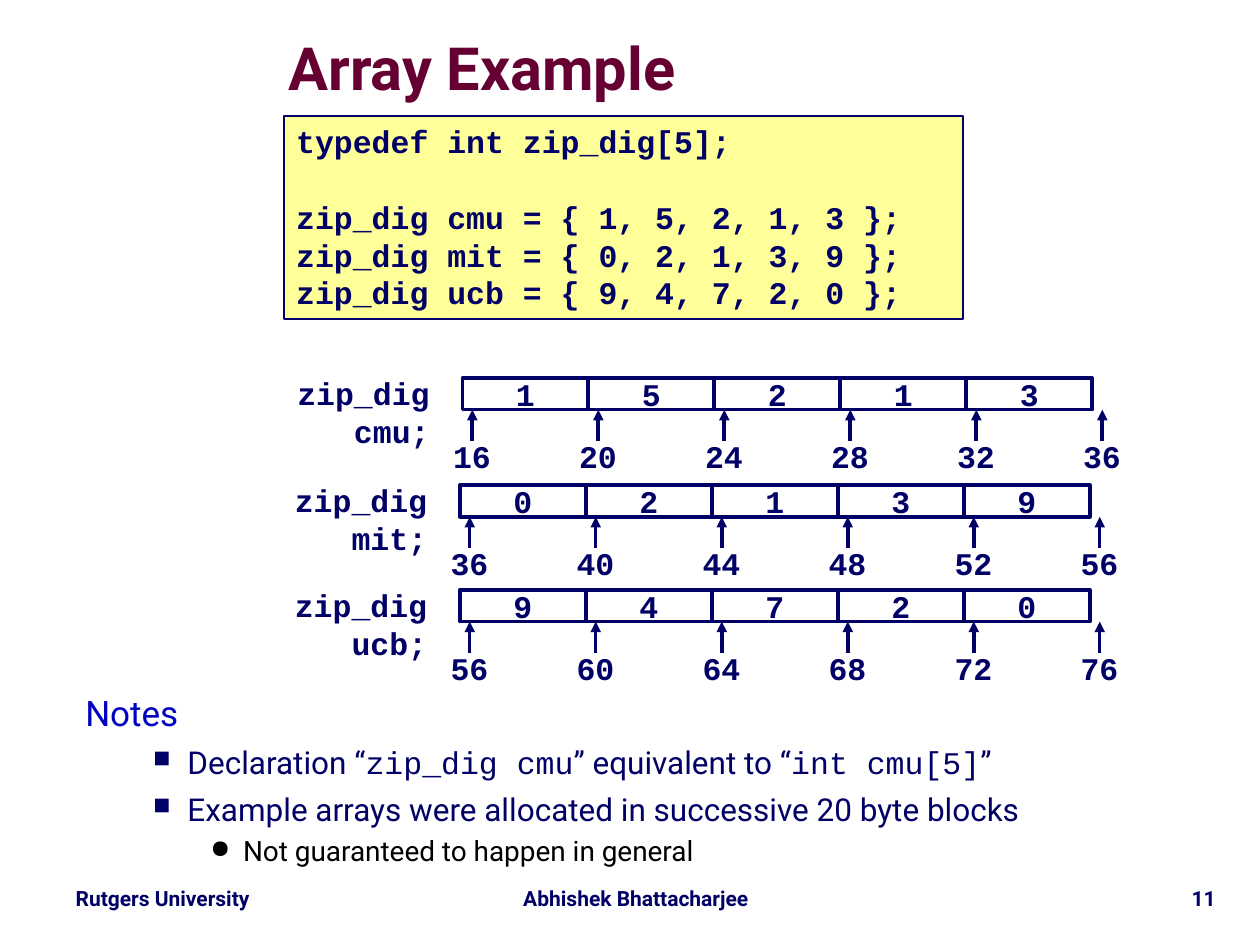
from lxml.etree import SubElement
from pptx import Presentation
from pptx.dml.color import RGBColor
from pptx.enum.shapes import MSO_CONNECTOR, MSO_SHAPE
from pptx.enum.text import MSO_ANCHOR as Anchor, PP_ALIGN as Align
from pptx.oxml.ns import qn
from pptx.util import Cm, Pt

SANS, MONO = "Roboto", "Courier New"
NAVY, MAROON, BLUE, BLACK = "000066", "660033", "0000C0", "000000"
YELLOW, WHITE = "FFFF99", "FFFFFF"


def rgb(value):
    return RGBColor.from_string(value)


class Deck:
    """Holds the slide and its shared style."""

    def __init__(self, s):
        self.s = s
        self.ink = NAVY
        self.code_size = 18

    def run(self, p, text, size, font=SANS, color=None, bold=False):
        r = p.add_run()
        r.text = text
        r.font.name = font
        r.font.size = Pt(size)
        r.font.bold = bold
        r.font.color.rgb = rgb(color or self.ink)

    def frame(self, x, y, w, h, wrap=True):
        tf = self.s.shapes.add_textbox(Cm(x), Cm(y), Cm(w), Cm(h)).text_frame
        tf.word_wrap = wrap
        return tf

    def sans(self, x, y, w, h, text, size, align, spacing, color=None):
        tf = self.frame(x, y, w, h)
        p = tf.paragraphs[0]
        p.alignment = align
        p.line_spacing = spacing
        self.run(p, text, size, color=color, bold=True)
        return tf

    def code(self, p, text, align=Align.LEFT):
        p.alignment = align
        self.run(p, text, self.code_size, MONO, bold=True)

    def label(self, x, y, w, h, text, align=Align.CENTER, wrap=False):
        self.code(self.frame(x, y, w, h, wrap).paragraphs[0], text, align)

    def box(self, x, y, w, h, fill, line):
        sp = self.s.shapes.add_shape(MSO_SHAPE.RECTANGLE, Cm(x), Cm(y), Cm(w), Cm(h))
        sp.shadow.inherit = False
        sp.fill.solid()
        sp.fill.fore_color.rgb = rgb(fill)
        sp.line.color.rgb = rgb(self.ink)
        sp.line.width = Pt(line)
        return sp.text_frame

    def cell(self, x, y, w, h, text):
        tf = self.box(x, y, w, h, WHITE, 2)
        tf.word_wrap = False
        tf.vertical_anchor = Anchor.MIDDLE
        self.code(tf.paragraphs[0], text, Align.CENTER)

    def arrow_up(self, x, bottom, top):
        c = self.s.shapes.add_connector(
            MSO_CONNECTOR.STRAIGHT, Cm(x), Cm(bottom), Cm(x), Cm(top))
        c.line.color.rgb = rgb(self.ink)
        c.line.width = Pt(2)
        SubElement(c.line._get_or_add_ln(), qn("a:tailEnd"), type="triangle")
        SubElement(c._element.spPr, qn("a:effectLst"))

    def bullet(self, p, char, scale, left, hang):
        pPr = p._p.get_or_add_pPr()
        pPr.set("marL", str(Cm(left)))
        pPr.set("indent", str(-Cm(hang)))
        SubElement(pPr, qn("a:buSzPct"), val=str(scale * 1000))
        SubElement(pPr, qn("a:buChar"), char=char)

    def array(self, x, y, name, digits, start):
        step, height = 2.54, 0.64
        self.label(x - 5.21, y - 0.2, 4.8, 1.02, f"zip_dig {name};", Align.RIGHT, wrap=True)
        for i, digit in enumerate(digits):
            self.cell(x + i * step, y, step, height, str(digit))
        # One address per element, and one for the end
        for i in range(len(digits) + 1):
            ax = x + 0.2 + i * step
            self.arrow_up(ax, y + 1.27, y + height)
            self.label(ax - 0.64, y + 1.07, 1.27, 1.02, str(start + 4 * i))


def main():
    prs = Presentation()
    prs.slide_width, prs.slide_height = Cm(25.4), Cm(19.05)
    deck = Deck(prs.slides.add_slide(prs.slide_layouts[6]))

    # Footer
    for x, w, text, align in (
        (0.84, 4.88, "Rutgers University", Align.CENTER),
        (9.96, 5.72, "Abhishek Bhattacharjee", Align.CENTER),
        (20.75, 4.01, "11", Align.RIGHT),
    ):
        deck.sans(x, 17.78, w, 0.71, text, 12, align, 0.9)

    # Title
    tf = deck.sans(2.11, 0.64, 15.21, 1.6, "Array Example", 34, Align.CENTER, 0.87, MAROON)
    tf.margin_left = tf.margin_right = tf.margin_top = tf.margin_bottom = 0
    tf.vertical_anchor = Anchor.MIDDLE

    # Notes
    tf = deck.frame(1.47, 13.87, 23.29, 3.84)
    p = tf.paragraphs[0]
    p.line_spacing = 0.95
    deck.run(p, "Notes", 20, color=BLUE)
    for parts in (
        (("Declaration “", SANS), ("zip_dig cmu", MONO), ("” equivalent to “", SANS),
         ("int cmu[5]", MONO), ("”", SANS)),
        (("Example arrays were allocated in successive 20 byte blocks", SANS),),
    ):
        p = tf.add_paragraph()
        p.level = 1
        deck.bullet(p, "■", 75, 2.06, 0.69)
        p.space_before = Pt(5.3)
        for text, font in parts:
            deck.run(p, text, 18, font)
    p = tf.add_paragraph()
    p.level = 2
    deck.bullet(p, "●", 90, 3.18, 0.66)
    p.line_spacing = 1.07
    p.space_before = Pt(1.9)
    deck.run(p, "Not guaranteed to happen in general", 16, color=BLACK)

    # Declarations
    arrays = (
        ("cmu", (1, 5, 2, 1, 3), 9.32, 7.62),
        ("mit", (0, 2, 1, 3, 9), 9.27, 9.78),
        ("ucb", (9, 4, 7, 2, 0), 9.27, 11.89),
    )
    tf = deck.box(5.72, 2.34, 13.69, 4.09, YELLOW, 1)
    tf.vertical_anchor = Anchor.TOP
    deck.code(tf.paragraphs[0], "typedef int zip_dig[5];")
    for i, (name, digits, _, _) in enumerate(arrays):
        p = tf.add_paragraph()
        if i == 0:
            p.space_before = Pt(21.6)
        deck.code(p, f"zip_dig {name} = {{ {', '.join(map(str, digits))} }};")

    # Memory layout, in successive 20 byte blocks
    for i, (name, digits, x, y) in enumerate(arrays):
        deck.array(x, y, name, digits, 16 + 20 * i)

    prs.save("out.pptx")


if __name__ == "__main__":
    main()
